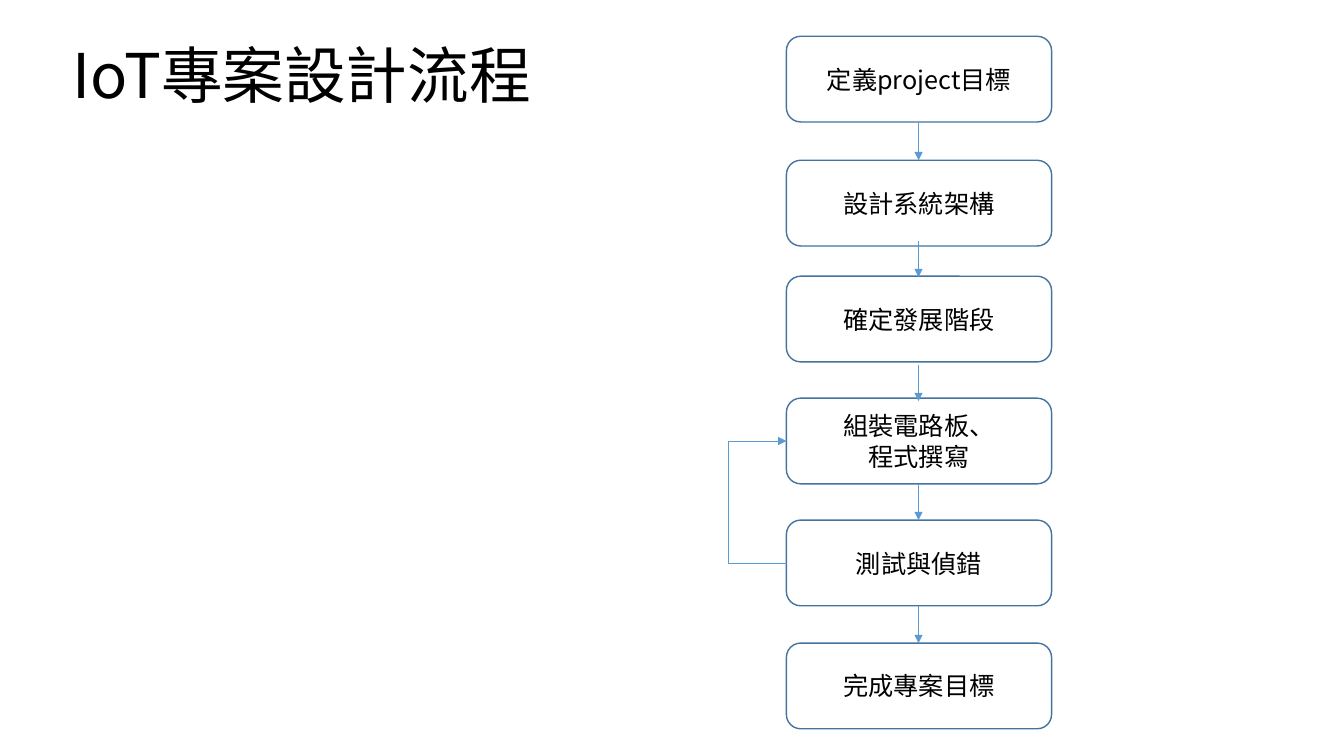
from dataclasses import dataclass

from lxml.etree import SubElement
from pptx import Presentation
from pptx.dml.color import RGBColor
from pptx.enum.shapes import MSO_CONNECTOR as Connector, MSO_SHAPE as Shape
from pptx.enum.text import MSO_ANCHOR as Anchor, MSO_AUTO_SIZE as AutoSize, PP_ALIGN as Align
from pptx.oxml.ns import qn
from pptx.util import Inches, Pt

COLOURS = {"text": "000000", "border": "43739E", "arrow": "5B9BD5"}
FONT = "Noto Sans CJK SC"
BOX_LEFT, BOX_WIDTH, BOX_HEIGHT = 7.8, 2.63, 0.85
BOX_CENTRE = 9.11
LOOP_REACH = 0.6


@dataclass(frozen=True)
class Step:
    text: str
    top: float

    @property
    def middle(self) -> float:
        return self.top + BOX_HEIGHT / 2


@dataclass(frozen=True)
class Arrow:
    start: float
    end: float


STEPS = [
    Step("定義project目標", 0.36),
    Step("設計系統架構", 1.59),
    Step("確定發展階段", 2.74),
    Step("組裝電路板、\n程式撰寫", 3.95),
    Step("測試與偵錯", 5.16),
    Step("完成專案目標", 6.38),
]
ARROWS = [Arrow(1.22, 1.59), Arrow(2.39, 2.75), Arrow(3.62, 3.98),
          Arrow(4.8, 5.16), Arrow(6.01, 6.38)]


def colour(name: str) -> RGBColor:
    return RGBColor.from_string(COLOURS[name])


def set_text(shape, text: str, size: float, paragraph_format: dict) -> None:
    frame = shape.text_frame
    frame.text = text
    frame_format = {"word_wrap": True, "auto_size": AutoSize.NONE,
                    "vertical_anchor": Anchor.MIDDLE}
    for name, value in frame_format.items():
        setattr(frame, name, value)
    for para in frame.paragraphs:
        for name, value in paragraph_format.items():
            setattr(para, name, value)
        for span in para.runs:
            for name, value in {"name": FONT, "size": Pt(size)}.items():
                setattr(span.font, name, value)
            span.font.color.rgb = colour("text")
            east_asian = SubElement(span.font._element, qn("a:ea"))
            east_asian.set("typeface", FONT)


def add_title(page, text: str) -> None:
    title = page.shapes.title
    place = {"left": 0.62, "top": 0.34, "width": 11.5, "height": 0.87}
    for name, value in place.items():
        setattr(title, name, Inches(value))
    set_text(title, text, 44, {"alignment": Align.LEFT, "line_spacing": 0.9})


def add_step(page, step: Step) -> None:
    box = page.shapes.add_shape(
        Shape.ROUNDED_RECTANGLE, Inches(BOX_LEFT), Inches(step.top),
        Inches(BOX_WIDTH), Inches(BOX_HEIGHT))
    box.shadow.inherit = False
    box.fill.background()
    box.line.color.rgb = colour("border")
    box.line.width = Pt(1)
    set_text(box, step.text, 18, {"alignment": Align.CENTER})


def add_arrow(page, kind: Connector, start: tuple[float, float], end: tuple[float, float]):
    points = [Inches(value) for value in (*start, *end)]
    arrow = page.shapes.add_connector(kind, *points)
    arrow.line.color.rgb = colour("arrow")
    arrow.line.width = Pt(0.5)
    SubElement(arrow.line._get_or_add_ln(), qn("a:tailEnd")).set("type", "triangle")
    SubElement(arrow._element.spPr, qn("a:effectLst"))
    return arrow


def add_loop(page, source: Step, target: Step) -> None:
    """Lead from the left side of one step back up to an earlier one."""
    width = 0.01
    loop = add_arrow(page, Connector.ELBOW, (BOX_LEFT, target.middle),
                     (BOX_LEFT + width, source.middle))
    properties = loop._element.spPr
    properties.find(qn("a:xfrm")).set("rot", str(180 * 60000))
    guide = SubElement(properties.find(qn("a:prstGeom")).find(qn("a:avLst")), qn("a:gd"))
    guide.set("name", "adj1")
    guide.set("fmla", f"val {round(LOOP_REACH / width * 100000)}")


def main() -> None:
    deck = Presentation()
    deck.slide_width, deck.slide_height = Inches(13.33), Inches(7.5)
    page = deck.slides.add_slide(deck.slide_layouts.get_by_name("Title Only"))
    add_title(page, "IoT專案設計流程")
    for step in STEPS:
        add_step(page, step)
    for arrow in ARROWS:
        add_arrow(page, Connector.STRAIGHT, (BOX_CENTRE, arrow.start), (BOX_CENTRE, arrow.end))
    add_loop(page, source=STEPS[4], target=STEPS[3])
    deck.save("out.pptx")


if __name__ == "__main__":
    main()
